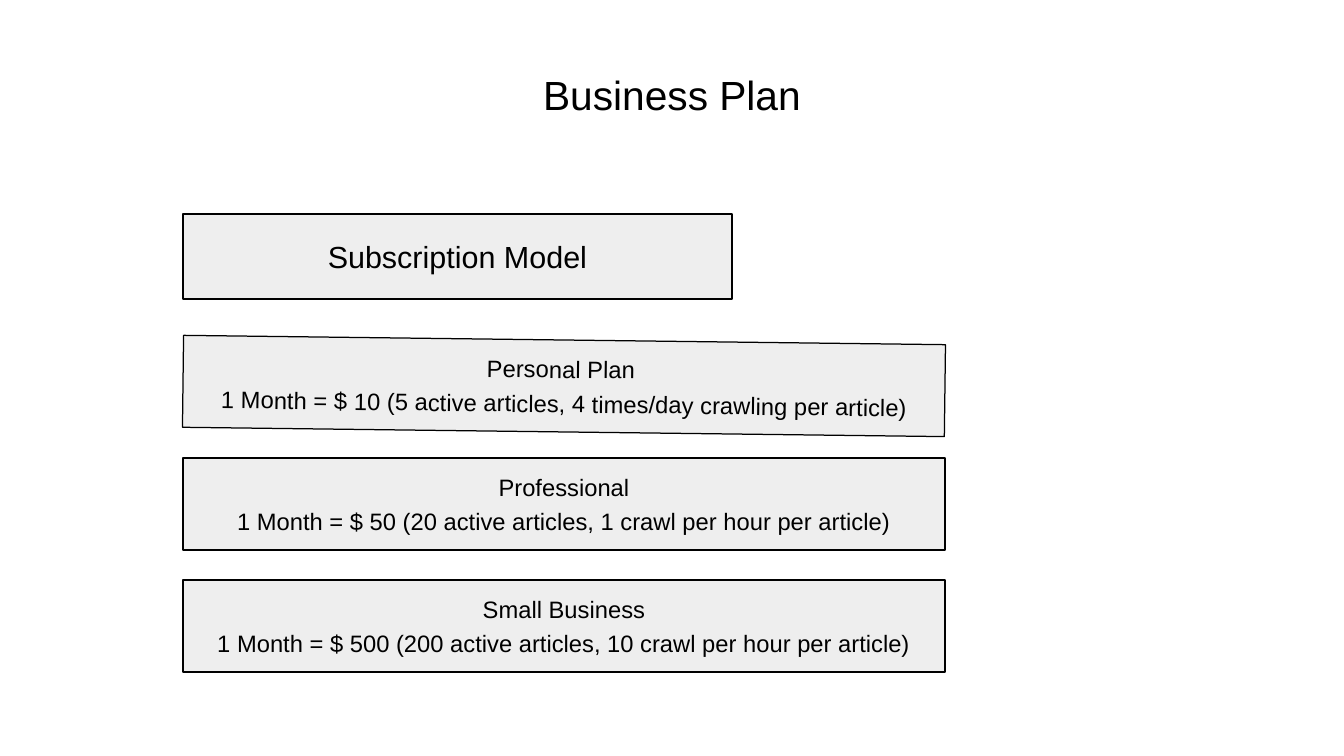
from pptx import Presentation
from pptx.dml.color import RGBColor
from pptx.enum.shapes import MSO_SHAPE
from pptx.enum.text import MSO_ANCHOR, PP_ALIGN
from pptx.util import Emu, Pt

RECTANGLE = MSO_SHAPE.RECTANGLE
MIDDLE = MSO_ANCHOR.MIDDLE
CENTER = PP_ALIGN.CENTER

# Content
TITLE = "Business Plan"
MODEL = "Subscription Model"
# Each plan: top in px, rotation in degrees, lines
PLANS = [
    (340, 0.7, ["Personal Plan ",
                "1 Month = $ 10 (5 active articles, 4 times/day crawling per article)"]),
    (458, 0, ["Professional",
              "1 Month = $ 50 (20 active articles, 1 crawl per hour per article)"]),
    (580, 0, ["Small Business",
              "1 Month = $ 500 (200 active articles, 10 crawl per hour per article)"]),
]

# Layout in px
PX = 914400 / 122
SLIDE_SIZE = (1344, 756)
TITLE_BOX = (67, 31, 1210, 127)
MODEL_BOX = (183, 214, 549, 85)
PLAN_LEFT, PLAN_WIDTH, PLAN_HEIGHT = 183, 762, 92

# Style
BLACK = RGBColor(0x00, 0x00, 0x00)
GRAY = RGBColor(0xEE, 0xEE, 0xEE)
FONT = {"name": "Arial"}
LINE_GAP = Pt(3.5)


def px(lengths):
    return [Emu(round(length * PX)) for length in lengths]


def write(shape, lines, size):
    frame = shape.text_frame
    frame.word_wrap = True
    frame.vertical_anchor = MIDDLE
    for index, line in enumerate(lines):
        paragraph = frame.add_paragraph() if index else frame.paragraphs[0]
        paragraph.alignment = CENTER
        if index:
            paragraph.space_before = LINE_GAP
        run = paragraph.add_run()
        run.text = line
        for attribute, value in {**FONT, "size": Pt(size)}.items():
            setattr(run.font, attribute, value)
        run.font.color.rgb = BLACK


def add_box(slide, box, lines, size, rotation=0):
    shape = slide.shapes.add_shape(RECTANGLE, *px(box))
    shape.shadow.inherit = False
    shape.rotation = rotation
    shape.fill.solid()
    shape.fill.fore_color.rgb = GRAY
    shape.line.color.rgb = BLACK
    shape.line.width = Pt(0)
    write(shape, lines, size)


def main():
    presentation = Presentation()
    presentation.slide_width, presentation.slide_height = px(SLIDE_SIZE)
    slide = presentation.slides.add_slide(presentation.slide_layouts[6])

    # Title
    title = slide.shapes.add_textbox(*px(TITLE_BOX))
    for side in ("left", "top", "right", "bottom"):
        setattr(title.text_frame, f"margin_{side}", 0)
    write(title, [TITLE], 24)

    # Subscription model and its plans
    add_box(slide, MODEL_BOX, [MODEL], 18)
    for top, rotation, lines in PLANS:
        box = (PLAN_LEFT, top, PLAN_WIDTH, PLAN_HEIGHT)
        add_box(slide, box, lines, 14, rotation)

    presentation.save("out.pptx")


if __name__ == "__main__":
    main()
